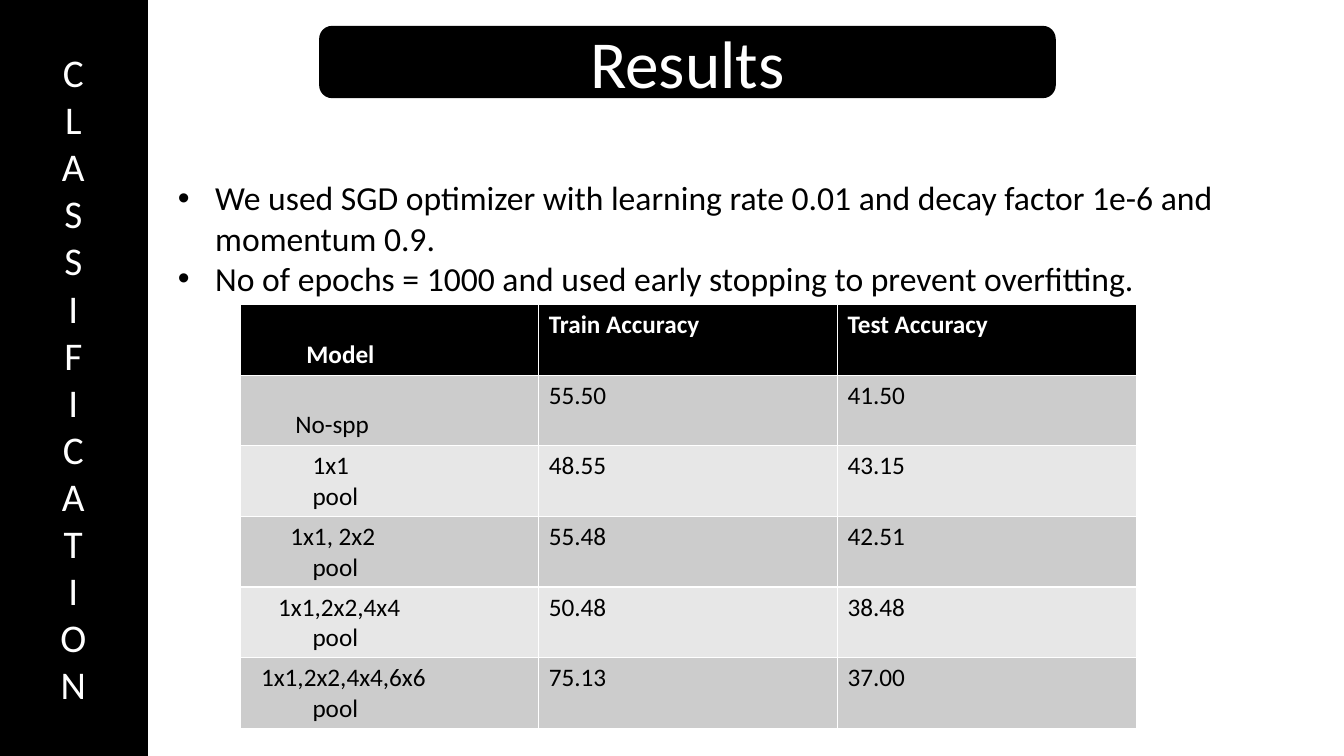
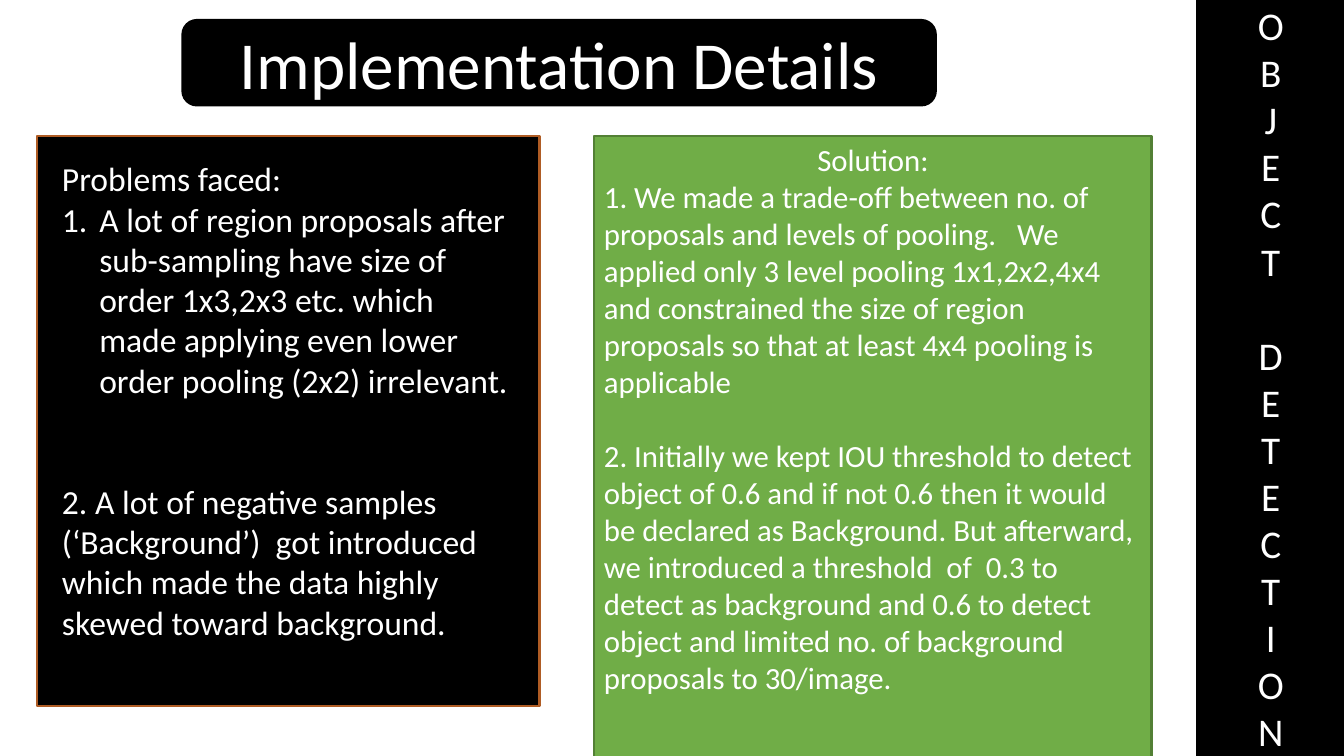
"""Build two slides on spatial pooling: classification results and detection details."""
import dataclasses

import pptx
import pptx.dml.color
import pptx.enum.shapes
import pptx.enum.text
import pptx.oxml.ns
import pptx.util
from lxml import etree

RGBColor = pptx.dml.color.RGBColor
BLACK = RGBColor(0x00, 0x00, 0x00)
WHITE = RGBColor(0xFF, 0xFF, 0xFF)
RUST = RGBColor(0xAF, 0x5C, 0x24)
GREEN = RGBColor(0x70, 0xAD, 0x47)
DARK_GREEN = RGBColor(0x53, 0x80, 0x35)
ROW_TINTS = (RGBColor(0xCC, 0xCC, 0xCC), RGBColor(0xE7, 0xE7, 0xE7))

FONT = "Calibri"
TITLE_SIZE, BAND_SIZE, BODY_SIZE, SOLUTION_SIZE, TABLE_SIZE = 48, 28, 24, 22, 18
LINE_HEIGHT = 1.2
BAND_WIDTH = 0.109
HANGING_INDENT = 0.37

SHAPES = pptx.enum.shapes.MSO_SHAPE
ANCHOR = pptx.enum.text.MSO_ANCHOR
CENTER = pptx.enum.text.PP_ALIGN.CENTER

SETTINGS = (
    "We used SGD optimizer with learning rate 0.01 and decay factor 1e-6 and momentum 0.9.",
    "No of epochs = 1000 and used early stopping to prevent overfitting.",
)
ACCURACY_HEADINGS = ("Train Accuracy", "Test Accuracy")
ACCURACIES = (
    ((("No-spp", 0.45),), "55.50", "41.50"),
    ((("1x1", 0.62), ("pool", 0.62)), "48.55", "43.15"),
    ((("1x1, 2x2", 0.4), ("pool", 0.62)), "55.48", "42.51"),
    ((("1x1,2x2,4x4", 0.28), ("pool", 0.62)), "50.48", "38.48"),
    ((("1x1,2x2,4x4,6x6", 0.11), ("pool", 0.62)), "75.13", "37.00"),
)
PROPOSAL_PROBLEM = (
    "A lot of region proposals after sub-sampling have size of order 1x3,2x3 etc. "
    "which made applying even lower order pooling (2x2) irrelevant."
)
SAMPLE_PROBLEM = (
    "2. A lot of negative samples (‘Background’)  got introduced which made the data "
    "highly skewed toward background."
)
POOLING_SOLUTION = (
    "1. We made a trade-off between no. of proposals and levels of pooling.   We applied "
    "only 3 level pooling 1x1,2x2,4x4 and constrained the size of region proposals so that "
    "at least 4x4 pooling is applicable"
)
THRESHOLD_SOLUTION = (
    "2. Initially we kept IOU threshold to detect object of 0.6 and if not 0.6 then it would "
    "be declared as Background. But afterward, we introduced a threshold  of  0.3 to detect "
    "as background and 0.6 to detect object and limited no. of background proposals to 30/image."
)


@dataclasses.dataclass
class Area:
    """A rectangle that can be divided by shares of its size."""

    left: int
    top: int
    width: int
    height: int

    def share(self, left, top, width, height):
        """Return the area lying at the given shares of this one."""
        return Area(
            self.left + round(left * self.width),
            self.top + round(top * self.height),
            round(width * self.width),
            round(height * self.height),
        )

    def bounds(self):
        """Return left, top, width and height."""
        return self.left, self.top, self.width, self.height


def set_indent(paragraph, left, first=0.0):
    """Indent a paragraph by inches."""
    properties = paragraph._p.get_or_add_pPr()
    properties.set("marL", str(pptx.util.Inches(left)))
    properties.set("indent", str(pptx.util.Inches(first)))
    return properties


def add_marker(paragraph, tag, **attributes):
    """Give a paragraph a hanging bullet or number."""
    properties = set_indent(paragraph, HANGING_INDENT, -HANGING_INDENT)
    font = etree.SubElement(properties, pptx.oxml.ns.qn("a:buFont"))
    font.set("typeface", "Arial" if tag == "a:buChar" else "+mj-lt")
    etree.SubElement(properties, pptx.oxml.ns.qn(tag), attributes)


def add_text(frame, text, size, color, bold=False, gap_lines=0):
    """Add one paragraph to a frame, optionally after a gap of some lines."""
    paragraph = frame.paragraphs[0]
    if paragraph.runs:
        paragraph = frame.add_paragraph()
    if gap_lines:
        paragraph.space_before = pptx.util.Pt(round(gap_lines * size * LINE_HEIGHT, 1))
    run = paragraph.add_run()
    run.text = text
    run.font.name = FONT
    run.font.size = pptx.util.Pt(size)
    run.font.bold = bold
    run.font.color.rgb = color
    return paragraph


def add_panel(slide, area, fill, line, preset=SHAPES.RECTANGLE, anchor=ANCHOR.MIDDLE):
    """Add a filled, outlined panel and return its text frame."""
    panel = slide.shapes.add_shape(preset, *area.bounds())
    panel.shadow.inherit = False
    panel.fill.solid()
    panel.fill.fore_color.rgb = fill
    panel.line.color.rgb = line
    panel.line.width = pptx.util.Pt(2)
    panel.text_frame.word_wrap = True
    panel.text_frame.vertical_anchor = anchor
    return panel.text_frame


def add_text_area(slide, area):
    """Add a wrapping text box and return its text frame."""
    frame = slide.shapes.add_textbox(*area.bounds()).text_frame
    frame.word_wrap = True
    return frame


def add_title(slide, area, title):
    """Add the rounded black title plate."""
    frame = add_panel(slide, area, BLACK, BLACK, SHAPES.ROUNDED_RECTANGLE)
    add_text(frame, title, TITLE_SIZE, WHITE).alignment = CENTER


def add_section_band(slide, area, section):
    """Add the side band that spells the section name downwards."""
    frame = add_panel(slide, area, BLACK, BLACK)
    for word_index, word in enumerate(section.split()):
        for letter_index, letter in enumerate(word):
            starts_later_word = word_index > 0 and letter_index == 0
            paragraph = add_text(frame, letter, BAND_SIZE, WHITE, gap_lines=int(starts_later_word))
            paragraph.alignment = CENTER


def add_settings(slide, area):
    """Add the bulleted training settings."""
    frame = add_text_area(slide, area)
    for setting in SETTINGS:
        add_marker(add_text(frame, setting, BODY_SIZE, BLACK), "a:buChar", char="•")


def fill_cell(cell, lines, fill, color, bold=False):
    """Fill a table cell with lines of text, each with its own indent."""
    cell.fill.solid()
    cell.fill.fore_color.rgb = fill
    for text, indent in lines:
        paragraph = add_text(cell.text_frame, text, TABLE_SIZE, color, bold)
        if indent:
            set_indent(paragraph, indent)


def add_accuracy_table(slide, area):
    """Add the table of train and test accuracy for each model."""
    records = (((("Model", 0.56),), *ACCURACY_HEADINGS),) + ACCURACIES
    table = slide.shapes.add_table(len(records), 3, *area.bounds()).table
    for row, (model_lines, *values) in enumerate(records):
        heading = row == 0
        fill = BLACK if heading else ROW_TINTS[(row - 1) % 2]
        color = WHITE if heading else BLACK
        model_cell = table.cell(row, 0)
        fill_cell(model_cell, model_lines, fill, color, heading)
        if len(model_lines) == 1:
            model_cell.vertical_anchor = ANCHOR.BOTTOM
        for column, value in enumerate(values, start=1):
            fill_cell(table.cell(row, column), ((value, 0),), fill, color, heading)


def add_problems(slide, area):
    """Add the text of the problems faced inside their panel."""
    frame = add_text_area(slide, area.share(0.03, 0.03, 0.94, 0.95))
    add_text(frame, "Problems faced:", BODY_SIZE, WHITE)
    numbered = add_text(frame, PROPOSAL_PROBLEM, BODY_SIZE, WHITE)
    add_marker(numbered, "a:buAutoNum", type="arabicPeriod")
    add_text(frame, SAMPLE_PROBLEM, BODY_SIZE, WHITE, gap_lines=2)


def add_solution(slide, area):
    """Add the green panel with the solutions."""
    frame = add_panel(slide, area, GREEN, DARK_GREEN, anchor=ANCHOR.TOP)
    add_text(frame, "Solution:", SOLUTION_SIZE, WHITE)
    add_text(frame, POOLING_SOLUTION, SOLUTION_SIZE, WHITE)
    add_text(frame, THRESHOLD_SOLUTION, SOLUTION_SIZE, WHITE, gap_lines=1)


def build_results(slide, area):
    """Build the classification results slide."""
    add_title(slide, area.share(0.2385, 0.036, 0.546, 0.092), "Results")
    add_section_band(slide, area.share(0, 0, BAND_WIDTH, 1), "CLASSIFICATION")
    add_settings(slide, area.share(0.125, 0.228, 0.851, 0.17))
    add_accuracy_table(slide, area.share(0.1785, 0.403, 0.667, 0.56))


def build_implementation(slide, area):
    """Build the object detection implementation slide."""
    problems_area = area.share(0.0275, 0.18, 0.374, 0.754)
    add_panel(slide, problems_area, BLACK, RUST)
    add_title(slide, area.share(0.136, 0.027, 0.56, 0.112), "Implementation Details")
    add_section_band(slide, area.share(1 - BAND_WIDTH, 0, BAND_WIDTH, 1), "OBJECT DETECTION")
    add_problems(slide, problems_area)
    add_solution(slide, area.share(0.442, 0.18, 0.415, 0.893))


def main():
    """Create and save the presentation."""
    presentation = pptx.Presentation()
    presentation.slide_width = pptx.util.Inches(13.33)
    presentation.slide_height = pptx.util.Inches(7.5)
    area = Area(0, 0, presentation.slide_width, presentation.slide_height)
    for build in (build_results, build_implementation):
        build(presentation.slides.add_slide(presentation.slide_layouts[6]), area)
    presentation.save("out.pptx")


if __name__ == "__main__":
    main()
